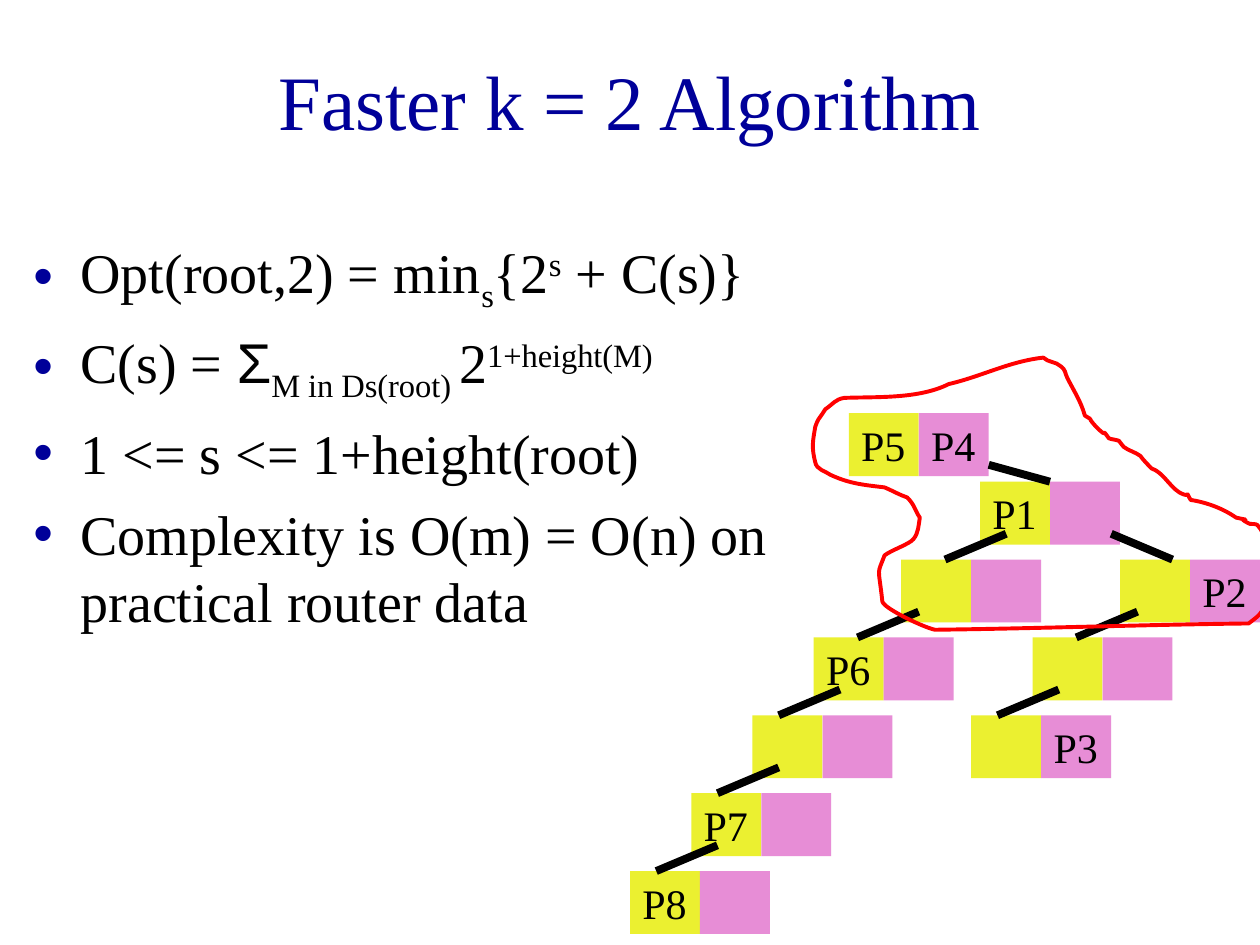
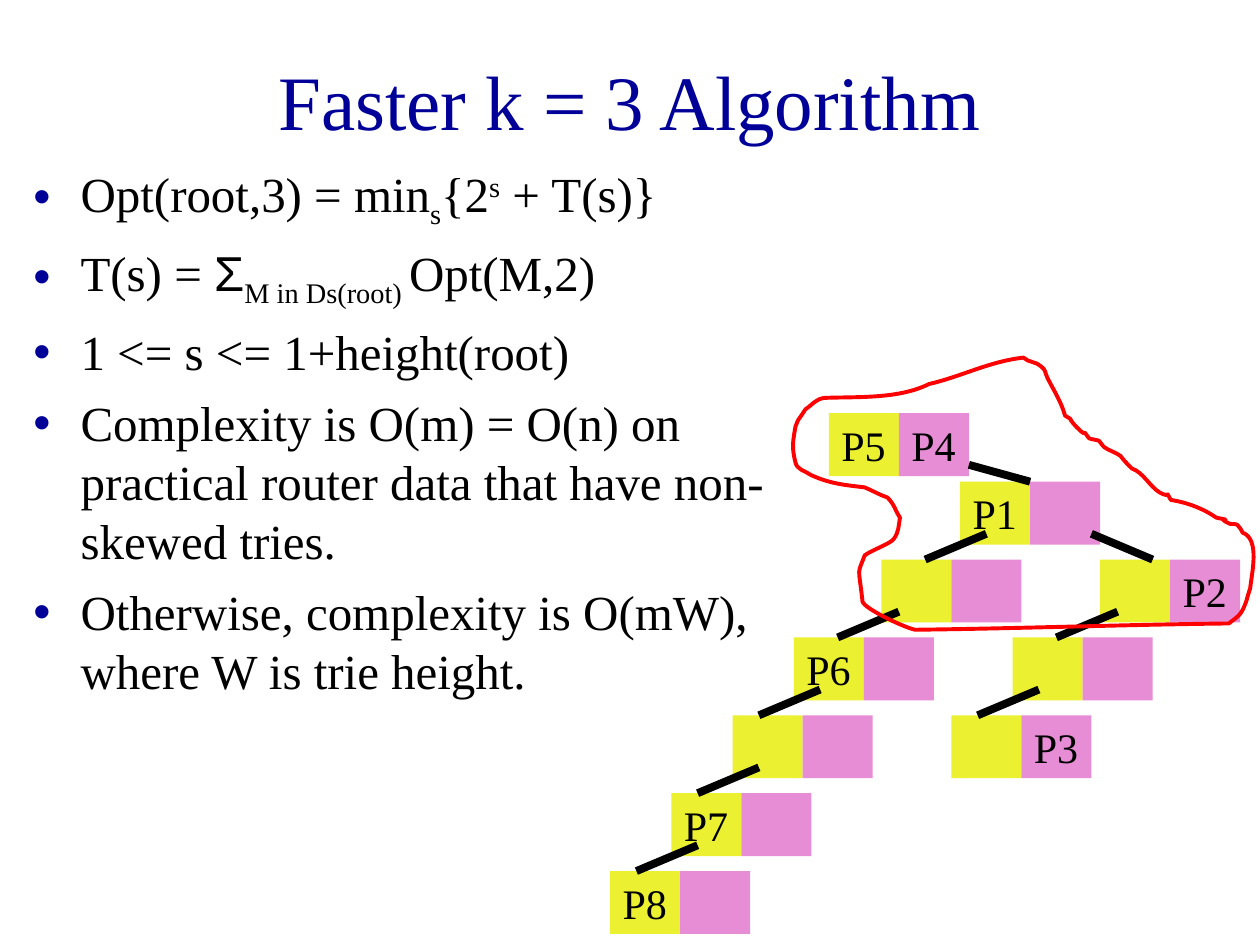
from lxml import etree
from pptx import Presentation
from pptx.dml.color import RGBColor
from pptx.enum import shapes, text
from pptx.oxml import ns
from pptx.util import Cm, Pt

NAVY, BLACK, RED = "000099", "000000", "FF0000"
YELLOW, PINK = "EBF030", "E78DD6"
SERIF = "Times New Roman"
BASELINES = {"sub": "-25000", "sup": "30000"}

# Tree grid: a cell is eight columns wide; row tops in cm
COLUMN = 2.54 / 14.4
CELL_COLUMNS = 8
CELL_HEIGHT = 1.27
ROW_TOPS = [1.12] + [2.5 + 1.57 * level for level in range(6)]
TREE_TOP = 7.21

# row, column, yellow label, pink label, columns where the link from the parent starts and ends
TRIE_NODES = [
    (0, 25, "P5", "P4", None, None),
    (1, 40, "P1", "", 41, 48),
    (2, 56, "", "P2", 55, 62),
    (2, 31, "", "", 43, 36),
    (3, 46, "", "", 58, 51),
    (3, 21, "P6", "", 33, 26),
    (4, 39, "", "P3", 49, 42),
    (4, 14, "", "", 24, 17),
    (5, 7, "P7", "", 17, 10),
    (6, 0, "P8", "", 10, 3),
]

# Outline of the expanded levels: start, then two control points and an end
# for each curve, in steps of 0.0254 cm from the corner of the tree
OUTLINE_STEP = Cm(2.54) / 100
OUTLINE_START = (328, 0)
OUTLINE_CURVES = [
    (301, 3, 279, 15, 253, 21), (229, 33, 196, 31, 170, 32),
    (163, 33, 161, 37, 155, 41), (148, 52, 150, 47, 147, 55),
    (145, 67, 144, 71, 147, 83), (148, 89, 155, 90, 159, 93),
    (174, 100, 185, 101, 202, 103), (209, 106, 214, 109, 220, 111),
    (226, 117, 226, 121, 230, 127), (229, 133, 229, 139, 225, 144),
    (222, 148, 207, 153, 202, 157), (196, 173, 197, 165, 200, 191),
    (200, 193, 200, 194, 202, 196), (208, 202, 233, 214, 242, 216),
    (326, 215, 407, 212, 491, 211), (500, 204, 501, 204, 505, 193),
    (506, 189, 508, 183, 508, 183), (509, 172, 516, 144, 502, 139),
    (501, 137, 500, 135, 498, 133), (497, 132, 494, 132, 492, 132),
    (477, 125, 499, 131, 481, 127), (471, 120, 458, 115, 445, 113),
    (439, 103, 447, 113, 436, 107), (428, 102, 423, 91, 414, 88),
    (411, 85, 408, 82, 405, 78), (401, 75, 396, 74, 392, 71),
    (390, 69, 389, 67, 388, 66), (385, 65, 382, 65, 380, 64),
    (372, 53, 382, 67, 370, 55), (359, 43, 372, 53, 361, 46),
    (358, 35, 352, 26, 347, 16), (345, 12, 346, 10, 342, 7),
    (338, 3, 332, 4, 328, 0),
]

RANGE_OF_S = [("1 <= s <= 1+height(root)", "")]
SUM_OVER_SUBTRIES = [("Σ", "symbol"), ("M in Ds(root) ", "sub")]

SLIDES = [
    {
        "title": "Faster k = 2 Algorithm",
        "list_box": (0.42, 4.66, 15.66, 11.43),
        "size": 32,
        "points": [
            [("Opt(root,2) = min", ""), ("s", "sub"), ("{2", ""), ("s", "sup"), (" + C(s)}", "")],
            [("C(s) = ", ""), *SUM_OVER_SUBTRIES, ("2", ""), ("1+height(M)", "sup")],
            RANGE_OF_S,
            [("Complexity is O(m) = O(n) on practical router data", "")],
        ],
        "tree_left": 12.7,
    },
    {
        "title": "Faster k = 3 Algorithm",
        "list_box": (0.42, 3.17, 15.24, 11.43),
        "size": 28,
        "points": [
            [("Opt(root,3) = min", ""), ("s", "sub"), ("{2", ""), ("s", "sup"), (" + T(s)}", "")],
            [("T(s) = ", ""), *SUM_OVER_SUBTRIES, ("Opt(M,2)", "")],
            RANGE_OF_S,
            [("Complexity is O(m) = O(n) on practical router data "
              "that have non-skewed tries.", "")],
            [("Otherwise, complexity is O(mW), where W is trie height.", "")],
        ],
        "tree_left": 12.3,
    },
]


def rgb(color):
    return RGBColor.from_string(color)


def style_font(font, size, color):
    font.name = SERIF
    font.size = Pt(size)
    font.color.rgb = rgb(color)


def move(placeholder, box):
    placeholder.left, placeholder.top, placeholder.width, placeholder.height = map(Cm, box)


def add_title(slide, title):
    heading = slide.shapes.title
    move(heading, (1.9, 0.42, 21.59, 3.17))
    frame = heading.text_frame
    frame.text = title
    frame.auto_size = text.MSO_AUTO_SIZE.NONE
    frame.vertical_anchor = text.MSO_ANCHOR.MIDDLE
    frame.paragraphs[0].alignment = text.PP_ALIGN.CENTER
    style_font(frame.paragraphs[0].font, 44, NAVY)


def set_bullet(paragraph):
    """Give the paragraph a hanging navy bullet."""
    properties = paragraph._p.get_or_add_pPr()
    properties.set("marL", str(Cm(0.95)))
    properties.set("indent", str(-Cm(0.95)))
    bullet_color = etree.SubElement(properties, ns.qn("a:buClr"))
    etree.SubElement(bullet_color, ns.qn("a:srgbClr"), val=NAVY)
    etree.SubElement(properties, ns.qn("a:buChar"), char="•")


def add_points(slide, box, points, size):
    body = slide.placeholders[1]
    move(body, box)
    frame = body.text_frame
    frame.auto_size = text.MSO_AUTO_SIZE.NONE
    for index, point in enumerate(points):
        paragraph = frame.add_paragraph() if index else frame.paragraphs[0]
        paragraph.space_before = Pt(size / 4)
        set_bullet(paragraph)
        style_font(paragraph.font, size, BLACK)
        for words, role in point:
            run = paragraph.add_run()
            run.text = words
            if role == "symbol":
                run.font.name = "Arial"
            elif role:
                run._r.get_or_add_rPr().set("baseline", BASELINES[role])


def add_cell(group, left, top, color, label):
    cell = group.shapes.add_shape(shapes.MSO_SHAPE.RECTANGLE, Cm(left), Cm(top),
                                  Cm(CELL_COLUMNS * COLUMN), Cm(CELL_HEIGHT))
    cell.shadow.inherit = False
    cell.fill.solid()
    cell.fill.fore_color.rgb = rgb(color)
    cell.line.fill.background()
    if label:
        frame = cell.text_frame
        frame.text = label
        frame.word_wrap = False
        frame.vertical_anchor = text.MSO_ANCHOR.TOP
        frame.paragraphs[0].alignment = text.PP_ALIGN.LEFT
        style_font(frame.paragraphs[0].font, 24, BLACK)


def add_link(group, start, end):
    link = group.shapes.add_connector(shapes.MSO_CONNECTOR.STRAIGHT,
                                      *map(Cm, start), *map(Cm, end))
    link.line.color.rgb = rgb(BLACK)
    link.line.width = Pt(4.5)
    etree.SubElement(link._element.spPr, ns.qn("a:effectLst"))


def add_trie(slide, left, top):
    group = slide.shapes.add_group_shape()
    for row, column, yellow_label, pink_label, *_ in TRIE_NODES:
        node_left, node_top = left + column * COLUMN, top + ROW_TOPS[row]
        add_cell(group, node_left, node_top, YELLOW, yellow_label)
        add_cell(group, node_left + CELL_COLUMNS * COLUMN, node_top, PINK, pink_label)
    for row, _, _, _, start, end in TRIE_NODES:
        if start is None:
            continue
        node_top = top + ROW_TOPS[row]
        rise = 0.34 if row == 1 else 0.52
        add_link(group, (left + start * COLUMN, node_top - rise),
                 (left + end * COLUMN, node_top))


def bend_segments(freeform):
    """Turn each three straight segments into one cubic curve."""
    segments = list(freeform._element.iter(ns.qn("a:lnTo")))
    for first in range(0, len(segments), 3):
        curve = etree.Element(ns.qn("a:cubicBezTo"))
        segments[first].addprevious(curve)
        for segment in segments[first:first + 3]:
            curve.append(segment[0])
            segment.getparent().remove(segment)


def add_expanded_levels_outline(slide, left, top):
    builder = slide.shapes.build_freeform(*OUTLINE_START, scale=OUTLINE_STEP)
    builder.add_line_segments([curve[i:i + 2] for curve in OUTLINE_CURVES for i in (0, 2, 4)])
    outline = builder.convert_to_shape(Cm(left), Cm(top))
    bend_segments(outline)
    outline.shadow.inherit = False
    outline.fill.background()
    outline.line.color.rgb = rgb(RED)
    outline.line.width = Pt(2.25)


def add_algorithm_slide(deck, content):
    slide = deck.slides.add_slide(deck.slide_layouts[1])
    add_title(slide, content["title"])
    add_points(slide, content["list_box"], content["points"], content["size"])
    add_trie(slide, content["tree_left"], TREE_TOP)
    add_expanded_levels_outline(slide, content["tree_left"], TREE_TOP)


def main():
    deck = Presentation()
    deck.slide_width, deck.slide_height = Cm(25.4), Cm(19.05)
    for content in SLIDES:
        add_algorithm_slide(deck, content)
    deck.save("out.pptx")


if __name__ == "__main__":
    main()
